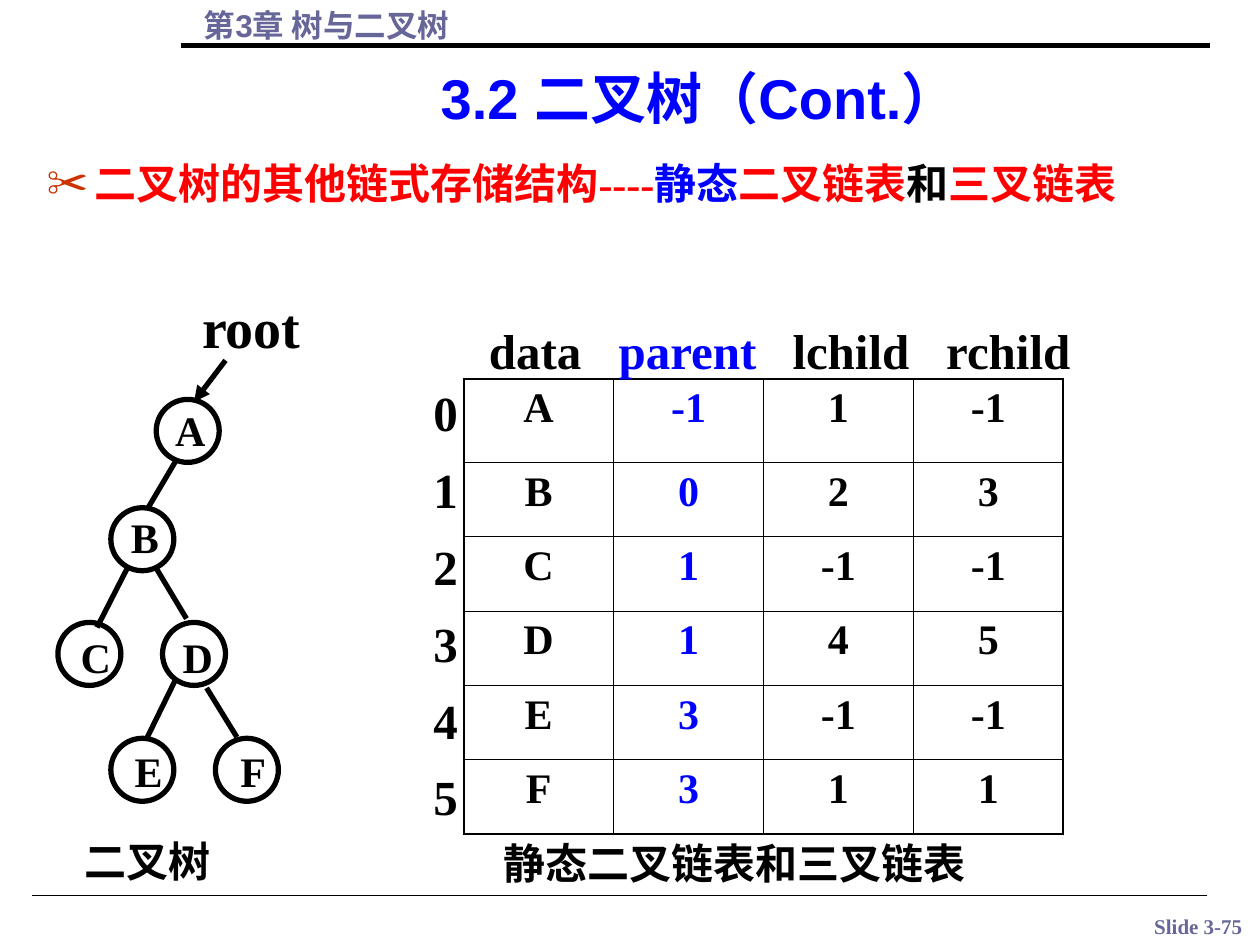
import pptx
import pptx.util
import pptx.dml.color
import pptx.enum.shapes
import pptx.enum.text
import pptx.oxml
import pptx.oxml.ns

Inches = pptx.util.Inches
Pt = pptx.util.Pt
rgb = pptx.dml.color.RGBColor.from_string
ALIGN = pptx.enum.text.PP_ALIGN
ANCHOR = pptx.enum.text.MSO_ANCHOR
MIDDLE = ANCHOR.MIDDLE
NS = pptx.oxml.ns.nsdecls("a")
BLACK, BLUE, RED, SLATE = "000000", "0000FF", "FF0000", "666699"
SERIF, SANS = "Times New Roman", "Arial"


def write(tf, text, size=24, color=BLACK, font=SERIF, align=ALIGN.CENTER, anchor=None, wrap=None):
    """Append a bold run to the last paragraph of a text frame."""
    if anchor is not None:
        tf.vertical_anchor = anchor
    if wrap is not None:
        tf.word_wrap = wrap
    p = tf.paragraphs[-1]
    p.alignment = align
    r = p.add_run()
    r.text = text
    r.font.size, r.font.name, r.font.bold = Pt(size), font, True
    r.font.color.rgb = rgb(color)


def add_line(shapes, x1, y1, x2, y2, width=3, arrow=False):
    c = shapes.add_connector(pptx.enum.shapes.MSO_CONNECTOR.STRAIGHT,
                             Inches(x1), Inches(y1), Inches(x2), Inches(y2))
    c.line.color.rgb = rgb(BLACK)
    c.line.width = Pt(width)
    if arrow:
        c.line._get_or_add_ln().append(pptx.oxml.parse_xml(f'<a:tailEnd {NS} type="triangle"/>'))
    c._element.spPr.append(pptx.oxml.parse_xml(f"<a:effectLst {NS}/>"))


prs = pptx.Presentation()
prs.slide_width, prs.slide_height = Inches(10), Inches(7.5)
s = prs.slides.add_slide(prs.slide_layouts[1])

# Header, footer and rules
for box, text, size, font, align, wrap in [
    ((8.77, 7.2, 1.48, 0.3), "Slide 3-75", 12, SERIF, ALIGN.CENTER, False),
    ((1.52, 0, 8.03, 0.4), "第3章 树与二叉树", 18, SANS, ALIGN.LEFT, True),
]:
    tf = s.shapes.add_textbox(*map(Inches, box)).text_frame
    write(tf, text, size, SLATE, font, align, wrap=wrap)
add_line(s.shapes, 1.44, 0.36, 9.6, 0.36)
add_line(s.shapes, 0.25, 7.11, 9.58, 7.11, width=0.75)

# Title and bullet
title, body = s.placeholders
for sp, box in [(title, (1.36, 0.42, 8.38, 0.67)), (body, (0.27, 1.2, 9.52, 5.85))]:
    sp.left, sp.top, sp.width, sp.height = map(Inches, box)
    sp.text_frame.auto_size = pptx.enum.text.MSO_AUTO_SIZE.NONE
write(title.text_frame, "3.2 二叉树（Cont.）", 32, BLUE, SANS, anchor=ANCHOR.BOTTOM)

tf = body.text_frame
p = tf.paragraphs[0]
p.space_before = Pt(0)
pPr = p._p.get_or_add_pPr()
pPr.set("marL", str(Inches(0.38)))
pPr.set("indent", str(-Inches(0.38)))
pPr.append(pptx.oxml.parse_xml(f'<a:buClr {NS}><a:srgbClr val="CC3300"/></a:buClr>'))
pPr.append(pptx.oxml.parse_xml(f'<a:buChar {NS} char="✂"/>'))
for text, color in [("二叉树的其他链式存储结构----", RED), ("静态", BLUE), ("二叉链表", RED),
                    ("和", BLACK), ("三叉链表", RED)]:
    write(tf, text, color=color, align=ALIGN.LEFT)

# Binary tree: circle left and top, then label left, top and width
tree = s.shapes.add_group_shape().shapes
nodes = {
    "A": (1.24, 3.17, 1.29, 3.16, 0.44),
    "B": (0.88, 4.03, 0.94, 4.01, 0.42),
    "C": (0.46, 4.94, 0.54, 4.96, 0.44),
    "D": (1.29, 4.94, 1.35, 4.96, 0.44),
    "E": (0.88, 5.86, 0.97, 5.87, 0.42),
    "F": (1.71, 5.86, 1.81, 5.87, 0.4),
}
for name, (x, y, label_x, label_y, label_w) in nodes.items():
    sp = tree.add_shape(pptx.enum.shapes.MSO_SHAPE.OVAL, *map(Inches, (x, y, 0.5, 0.5)))
    sp.shadow.inherit = False
    sp.fill.background()
    sp.line.color.rgb = rgb(BLACK)
    sp.line.width = Pt(3)
    label = tree.add_textbox(*map(Inches, (label_x, label_y, label_w, 0.5)))
    write(label.text_frame, name, anchor=MIDDLE, wrap=False)
for edge in [(1.4, 3.65, 1.17, 4.04), (1.01, 4.51, 0.77, 4.98), (1.24, 4.51, 1.48, 4.91),
             (1.64, 5.46, 1.88, 5.85), (1.4, 5.38, 1.17, 5.85)]:
    add_line(tree, *edge)
add_line(tree, 1.79, 2.86, 1.54, 3.19, arrow=True)
root = tree.add_textbox(*map(Inches, (1.5, 2.27, 0.99, 0.64)))
write(root.text_frame, "root", 32, anchor=MIDDLE, wrap=False)

# Linked-list table
rows = [
    ("A", "-1", "1", "-1"),
    ("B", "0", "2", "3"),
    ("C", "1", "-1", "-1"),
    ("D", "1", "4", "5"),
    ("E", "3", "-1", "-1"),
    ("F", "3", "1", "1"),
]
last_row, last_col = len(rows) - 1, len(rows[0]) - 1
frame = s.shapes.add_table(len(rows), len(rows[0]), *map(Inches, (3.68, 3.01, 4.78, 3.62)))
table = frame.table
table.first_row = table.horz_banding = False
for col in table.columns:
    col.width = Inches(1.19)
for i, values in enumerate(rows):
    table.rows[i].height = Inches(0.66 if i == 0 else 0.59)
    for j, value in enumerate(values):
        cell = table.cell(i, j)
        outer = {"L": j == 0, "R": j == last_col, "T": i == 0, "B": i == last_row}
        for side, is_outer in outer.items():
            width = Pt(1.08 if is_outer else 0.45)
            cell._tc.get_or_add_tcPr().append(pptx.oxml.parse_xml(
                f'<a:ln{side} {NS} w="{width}"><a:solidFill><a:srgbClr val="{BLACK}"/>'
                f'</a:solidFill></a:ln{side}>'))
        cell.fill.background()
        write(cell.text_frame, value, color=BLUE if j == 1 else BLACK)

# Column names, set on tab stops
tf = s.shapes.add_textbox(*map(Inches, (3.43, 2.49, 5.42, 0.57))).text_frame
tf.margin_left = Inches(0.45)
stops = "".join(f'<a:tab pos="{Inches(x)}" algn="l"/>' for x in (1.03, 2.41, 3.63))
tf.paragraphs[0]._p.get_or_add_pPr().append(
    pptx.oxml.parse_xml(f"<a:tabLst {NS}>{stops}</a:tabLst>"))
for text, color in [("data\t", BLACK), ("parent\t", BLUE), ("lchild\trchild", BLACK)]:
    write(tf, text, 28, color, align=ALIGN.LEFT, anchor=MIDDLE, wrap=True)

# Row numbers
tf = s.shapes.add_textbox(*map(Inches, (3.34, 3.04, 0.39, 3.51))).text_frame
for i in range(len(rows)):
    if i:
        tf.add_paragraph().space_before = Pt(10.3)
    write(tf, str(i), 28, anchor=MIDDLE, wrap=False)

# Captions
for box, text in [((0.57, 6.58, 1.95, 0.5), "二叉树"),
                  ((3.9, 6.6, 4.61, 0.5), "静态二叉链表和三叉链表")]:
    tf = s.shapes.add_textbox(*map(Inches, box)).text_frame
    write(tf, text, font=SANS, align=ALIGN.LEFT, wrap=True)

prs.save("out.pptx")
